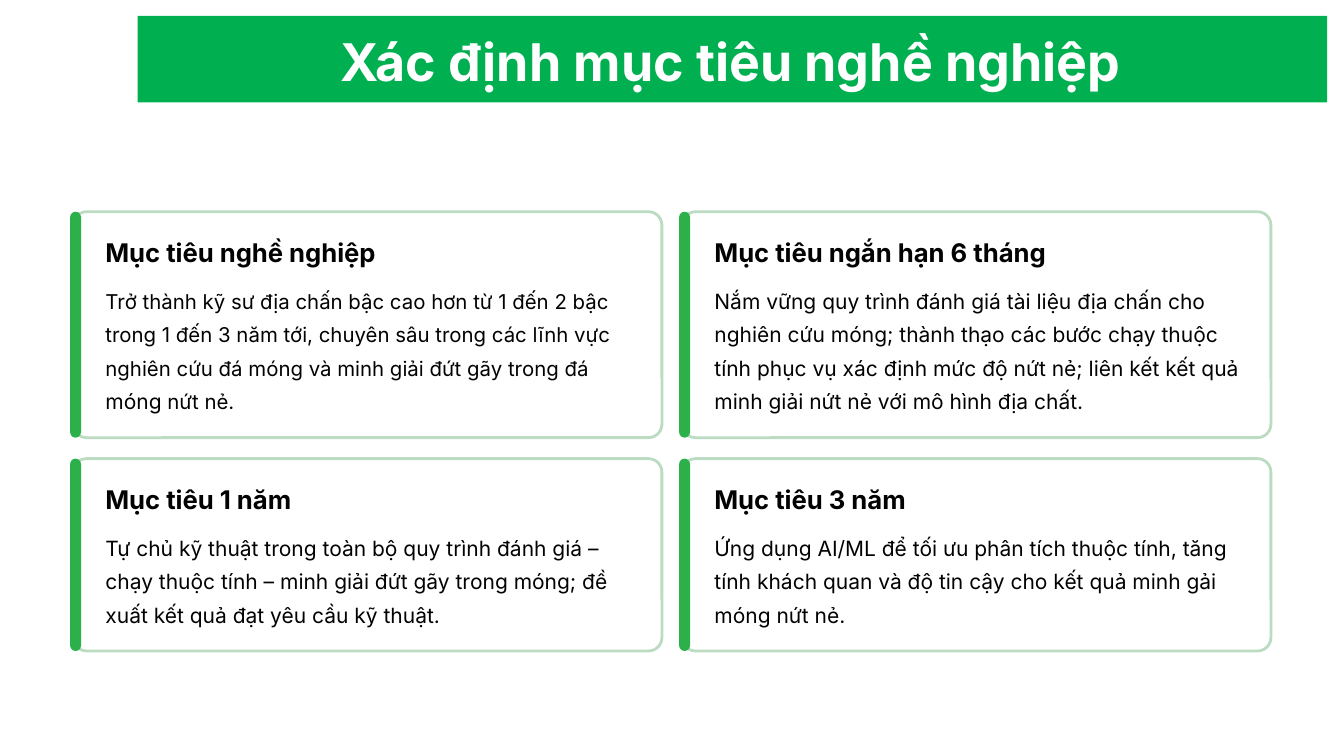
from pptx import Presentation
from pptx.dml.color import RGBColor
from pptx.enum.shapes import MSO_SHAPE as Shape
from pptx.util import Inches, Pt

FONT = "Inter"
GREEN, ACCENT, BORDER = "00B050", "2BB04A", "BCDBC3"
WHITE, INK = "FFFFFF", "020202"

# Card grid: left edges of the columns, (top, height) of the rows
COLUMNS = [0.87, 8.12]
ROWS = [(2.52, 2.69), (5.46, 2.29)]
CARD_WIDTH, CORNER = 7.01, 0.16
BAR_WIDTH, BAR_SHIFT = 0.13, 0.035
INDENT, TEXT_WIDTH = 0.385, 6.35
HEADING_DROP, BODY_DROP, BODY_MARGIN = 0.28, 0.82, 1.1

# Per row: heading, heading width, body runs as (text, size)
GOALS = [
    [
        ("Mục tiêu nghề nghiệp", 3.27, [
            ("Trở thành kỹ sư địa chấn bậc cao hơn từ 1 đến 2 bậc trong 1 đến 3 năm tới, "
             "chuyên sâu trong các lĩnh vực nghiên cứu đá móng và minh giải đứt gãy trong đá ", 17.5),
            ("móng", 18),
            (" nứt nẻ.", 17.5)]),
        ("Mục tiêu ngắn hạn 6 tháng", 4.01, [
            ("Nắm vững quy trình đánh giá tài liệu địa chấn cho nghiên cứu móng; "
             "thành thạo các bước chạy thuộc tính phục vụ xác định mức độ nứt nẻ; "
             "liên kết kết quả minh giải nứt nẻ với mô hình địa chất.", 18)]),
    ],
    [
        ("Mục tiêu 1 năm", 3.1, [
            ("Tự chủ kỹ thuật trong toàn bộ quy trình đánh giá – chạy thuộc tính – "
             "minh giải đứt gãy trong móng; đề xuất kết quả đạt yêu cầu kỹ thuật.", 18)]),
        ("Mục tiêu 3 năm", 3.1, [
            ("Ứng dụng AI/ML để tối ưu phân tích thuộc tính, tăng tính khách quan "
             "và độ tin cậy cho kết quả minh gải móng nứt nẻ.", 18)]),
    ],
]


def color(value):
    return RGBColor.from_string(value)


def add_block(slide, kind, left, top, width, height, fill, border=None, corner=None):
    block = slide.shapes.add_shape(
        kind, Inches(left), Inches(top), Inches(width), Inches(height))
    block.shadow.inherit = False
    block.fill.solid()
    block.fill.fore_color.rgb = color(fill)
    if border:
        block.line.color.rgb = color(border)
        block.line.width = Pt(2.4)
    else:
        block.line.fill.background()
    if corner is not None:
        block.adjustments[0] = corner


def add_text(slide, left, top, width, height, runs, spacing, ink=INK, bold=False, wrap=False):
    frame = slide.shapes.add_textbox(
        Inches(left), Inches(top), Inches(width), Inches(height)).text_frame
    frame.margin_left = frame.margin_right = frame.margin_top = frame.margin_bottom = 0
    frame.word_wrap = wrap
    paragraph = frame.paragraphs[0]
    paragraph.line_spacing = Pt(spacing)
    paragraph.font.name = FONT
    paragraph.font.bold = bold
    paragraph.font.color.rgb = color(ink)
    paragraph.font.size = Pt(runs[0][1])
    for words, size in runs:
        run = paragraph.add_run()
        run.text = words
        if len(runs) > 1:
            run.font.size = Pt(size)


def add_goal(slide, left, top, height, heading, heading_width, body):
    # Frame and accent bar
    add_block(slide, Shape.ROUNDED_RECTANGLE, left, top, CARD_WIDTH, height,
              WHITE, BORDER, CORNER / height)
    add_block(slide, Shape.ROUNDED_RECTANGLE, left - BAR_SHIFT, top, BAR_WIDTH, height,
              ACCENT, corner=0.5)
    # Heading and body
    add_text(slide, left + INDENT, top + HEADING_DROP, heading_width, 0.39,
             [(heading, 22)], 27.5, bold=True)
    add_text(slide, left + INDENT, top + BODY_DROP, TEXT_WIDTH, height - BODY_MARGIN,
             body, 28.5, wrap=True)


def main():
    deck = Presentation()
    deck.slide_width, deck.slide_height = Inches(16), Inches(9)
    slide = deck.slides.add_slide(deck.slide_layouts[6])

    # Title banner
    add_block(slide, Shape.RECTANGLE, 1.64, 0.19, 14.16, 1.03, GREEN)
    add_text(slide, 4.05, 0.32, 9.33, 0.78, [("Xác định mục tiêu nghề nghiệp", 44.5)],
             55.5, WHITE, bold=True)

    # Goal cards
    for (top, height), goals in zip(ROWS, GOALS):
        for left, goal in zip(COLUMNS, goals):
            add_goal(slide, left, top, height, *goal)

    deck.save("out.pptx")


if __name__ == "__main__":
    main()
